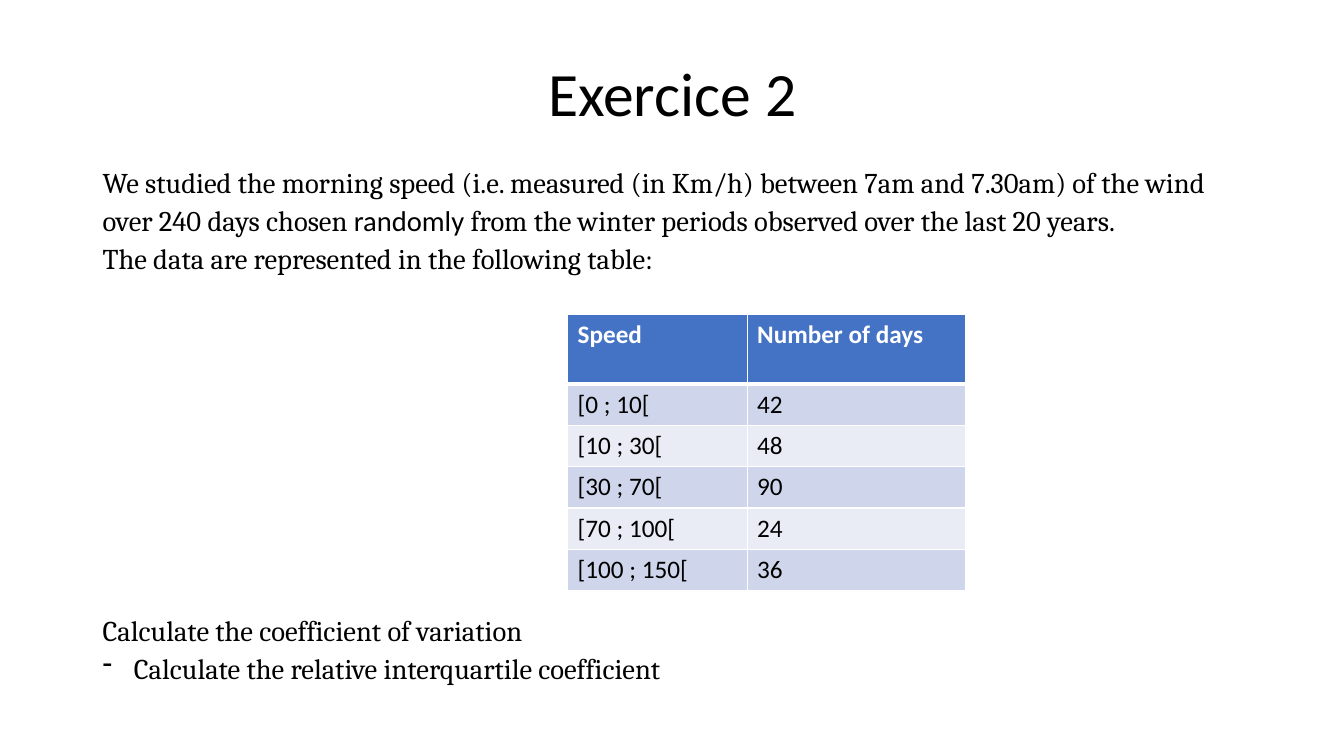
from lxml import etree
from pptx import Presentation
from pptx.dml.color import RGBColor
from pptx.enum.text import MSO_ANCHOR, PP_ALIGN
from pptx.oxml.ns import qn
from pptx.util import Inches, Pt

CENTER = PP_ALIGN.CENTER
MIDDLE, TOP = MSO_ANCHOR.MIDDLE, MSO_ANCHOR.TOP
SERIF, SANS = "Cambria", "Calibri"
BLACK, WHITE = "000000", "FFFFFF"
HEADER_FILL, BANDS = "4472C4", ("CFD5EA", "E9EBF5")

MARGIN, CONTENT_WIDTH = 0.92, 11.5
BODY_SIZE, LINE_SPACING, GAP = 20.4, 0.7, 10
DASH_INDENT = 0.31
TABLE_LEFT, TABLE_TOP = 5.63, 3.12
COLUMN_WIDTHS = (1.78, 2.17)
HEADER_HEIGHT, ROW_HEIGHT = 0.69, 0.41

deck = Presentation()
deck.slide_width, deck.slide_height = Inches(13.33), Inches(7.5)
page = deck.slides.add_slide(deck.slide_layouts[6])


def add_span(para, text, font, size, color=BLACK, bold=False):
    span = para.add_run()
    span.text = text
    span.font.name, span.font.size, span.font.bold = font, Pt(size), bold
    span.font.color.rgb = RGBColor.from_string(color)


def add_frame(top, height, anchor=TOP):
    """Add a wrapping text box across the content width and return its frame."""
    box = page.shapes.add_textbox(Inches(MARGIN), Inches(top), Inches(CONTENT_WIDTH), Inches(height))
    box.text_frame.word_wrap = True
    box.text_frame.vertical_anchor = anchor
    return box.text_frame


# Title
title = add_frame(0.23, 1.45, MIDDLE).paragraphs[0]
title.alignment, title.line_spacing = CENTER, 0.9
add_span(title, "Exercice 2", SANS, 44)

# Statement above the table, questions below it
statement = [
    [("We studied the morning speed (i.e. measured (in Km/h) between 7am and 7.30am) of the wind", SERIF)],
    [("over 240 days chosen ", SERIF), ("randomly ", SANS),
     ("from the winter periods observed over the last 20 years.", SERIF)],
    [("The data are represented in the following table:", SERIF)],
]
questions = [
    [("Calculate the coefficient of variation", SERIF)],
    [("Calculate the relative interquartile coefficient", SERIF)],
]
for top, height, lines in ((1.68, 1.3, statement), (6.12, 0.86, questions)):
    frame = add_frame(top, height)
    for index, spans in enumerate(lines):
        para = frame.add_paragraph() if index else frame.paragraphs[0]
        para.line_spacing = LINE_SPACING
        para.space_before = Pt(GAP if index else 0)
        for text, font in spans:
            add_span(para, text, font, BODY_SIZE)

dash_props = frame.paragraphs[-1]._p.get_or_add_pPr()
dash_props.set("marL", str(Inches(DASH_INDENT)))
dash_props.set("indent", str(-Inches(DASH_INDENT)))
etree.SubElement(dash_props, qn("a:buChar"), char="-")

# Table of wind speeds
records = [
    ("Speed", "Number of days"),
    ("[0 ; 10[", "42"),
    ("[10 ; 30[", "48"),
    ("[30 ; 70[", "90"),
    ("[70 ; 100[", "24"),
    ("[100 ; 150[", "36"),
]
table_height = HEADER_HEIGHT + ROW_HEIGHT * (len(records) - 1)
table = page.shapes.add_table(
    len(records), len(COLUMN_WIDTHS), Inches(TABLE_LEFT), Inches(TABLE_TOP),
    Inches(sum(COLUMN_WIDTHS)), Inches(table_height)).table
for column, width in zip(table.columns, COLUMN_WIDTHS):
    column.width = Inches(width)

for row, record in enumerate(records):
    is_header = row == 0
    table.rows[row].height = Inches(HEADER_HEIGHT if is_header else ROW_HEIGHT)
    for column, text in enumerate(record):
        cell = table.cell(row, column)
        add_span(cell.text_frame.paragraphs[0], text, SANS, 18,
                 WHITE if is_header else BLACK, is_header)
        # Borders come before the fill in the cell properties
        cell_props = cell._tc.get_or_add_tcPr()
        for side in ("lnL", "lnR", "lnT", "lnB"):
            thick = (is_header and side == "lnB") or (row == 1 and side == "lnT")
            border = etree.SubElement(cell_props, qn(f"a:{side}"), w=str(Pt(3 if thick else 1)))
            paint = etree.SubElement(border, qn("a:solidFill"))
            etree.SubElement(paint, qn("a:srgbClr"), val=WHITE)
        cell.fill.solid()
        cell.fill.fore_color.rgb = RGBColor.from_string(
            HEADER_FILL if is_header else BANDS[(row - 1) % 2])

deck.save("out.pptx")
